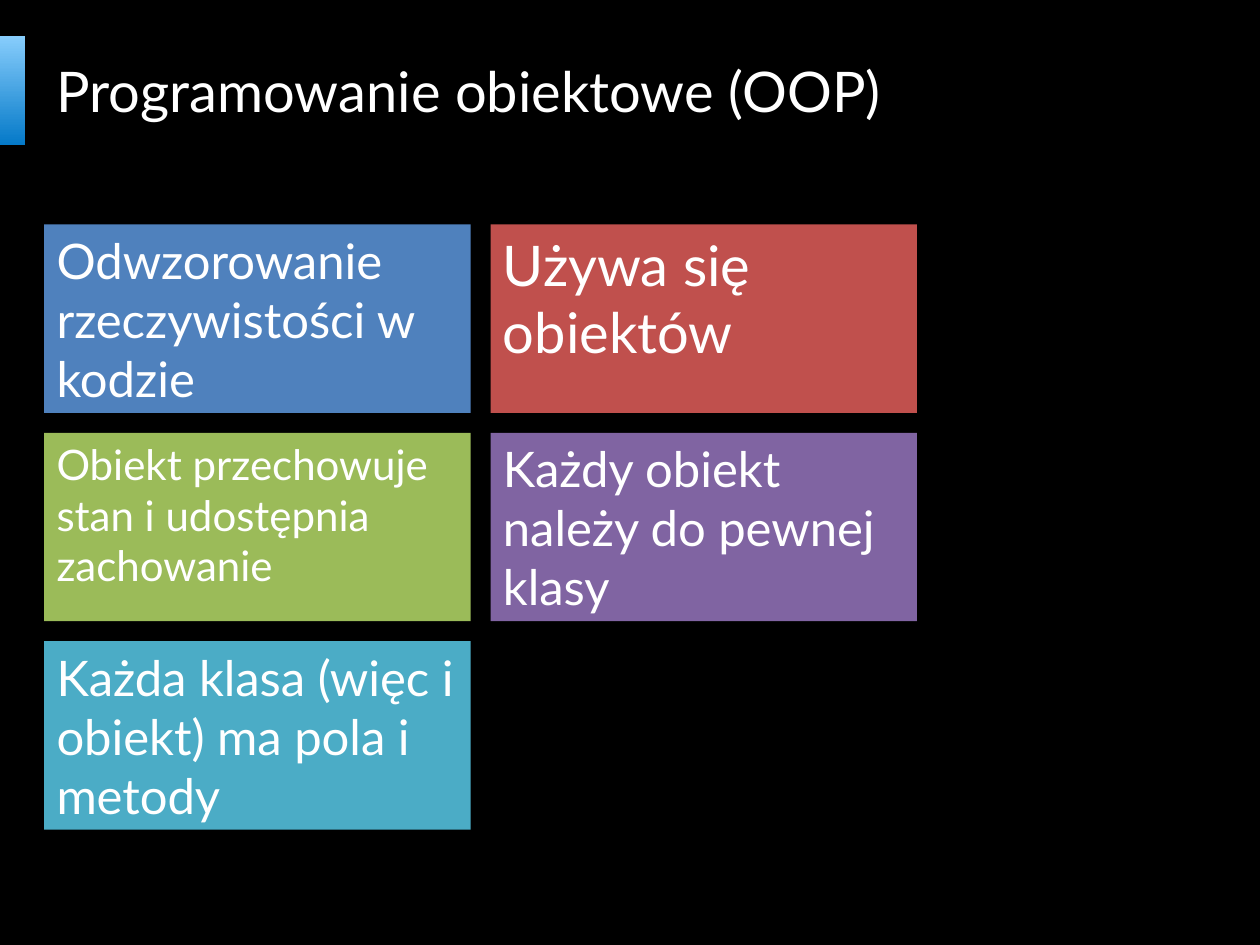
from typing import NamedTuple

from pptx import Presentation
from pptx.dml.color import RGBColor
from pptx.enum.shapes import MSO_SHAPE
from pptx.enum.text import MSO_ANCHOR, PP_ALIGN
from pptx.util import Pt

FONT = "Lato"
WHITE, BLACK = "FFFFFF", "000000"
LEFT, TOP = 25.2, 128.2
CARD_W, CARD_H, GAP = 243.7, 107.7, 11.4
COLUMNS = 2


class Card(NamedTuple):
    text: str
    fill: str
    size: float


CARDS = [
    Card("Odwzorowanie rzeczywistości w kodzie", "4F81BD", 28),
    Card("Używa się obiektów", "C0504D", 32),
    Card("Obiekt przechowuje stan i udostępnia zachowanie", "9BBB59", 24),
    Card("Każdy obiekt należy do pewnej klasy", "8064A2", 28),
    Card("Każda klasa (więc i obiekt) ma pola i metody", "4BACC6", 28),
]


def rgb(value: str) -> RGBColor:
    return RGBColor.from_string(value)


def add_rect(s, x: float, y: float, w: float, h: float):
    sp = s.shapes.add_shape(MSO_SHAPE.RECTANGLE, Pt(x), Pt(y), Pt(w), Pt(h))
    sp.shadow.inherit = False
    sp.line.fill.background()
    return sp


def write(sp, text: str, size: float, anchor: MSO_ANCHOR) -> None:
    tf = sp.text_frame
    tf.word_wrap = True
    tf.vertical_anchor = anchor
    p = tf.paragraphs[0]
    p.alignment = PP_ALIGN.LEFT
    r = p.add_run()
    r.text = text
    for name, value in {"name": FONT, "size": Pt(size)}.items():
        setattr(r.font, name, value)
    r.font.color.rgb = rgb(WHITE)


def add_card(s, card: Card, index: int) -> None:
    row, col = divmod(index, COLUMNS)
    x = LEFT + col * (CARD_W + GAP)
    y = TOP + row * (CARD_H + GAP)
    sp = add_rect(s, x, y, CARD_W, CARD_H)
    sp.fill.solid()
    sp.fill.fore_color.rgb = rgb(card.fill)
    write(sp, card.text, card.size, MSO_ANCHOR.TOP)


def add_accent(s) -> None:
    sp = add_rect(s, 0, 20.7, 14.2, 62.3)
    sp.fill.gradient()
    sp.fill.gradient_angle = 270
    for stop, color in zip(sp.fill.gradient_stops, ("87CDFC", "0479C8")):
        stop.color.rgb = rgb(color)


def main() -> None:
    prs = Presentation()
    prs.slide_width, prs.slide_height = Pt(720), Pt(540)
    s = prs.slides.add_slide(prs.slide_layouts[6])

    # Background
    s.background.fill.solid()
    s.background.fill.fore_color.rgb = rgb(BLACK)

    # Accent bar and title
    add_accent(s)
    title = s.shapes.add_textbox(Pt(LEFT), Pt(20.9), Pt(510.5), Pt(61.2))
    write(title, "Programowanie obiektowe (OOP)", 32, MSO_ANCHOR.MIDDLE)

    # Cards, row by row
    for index, card in enumerate(CARDS):
        add_card(s, card, index)

    prs.save("out.pptx")


if __name__ == "__main__":
    main()
